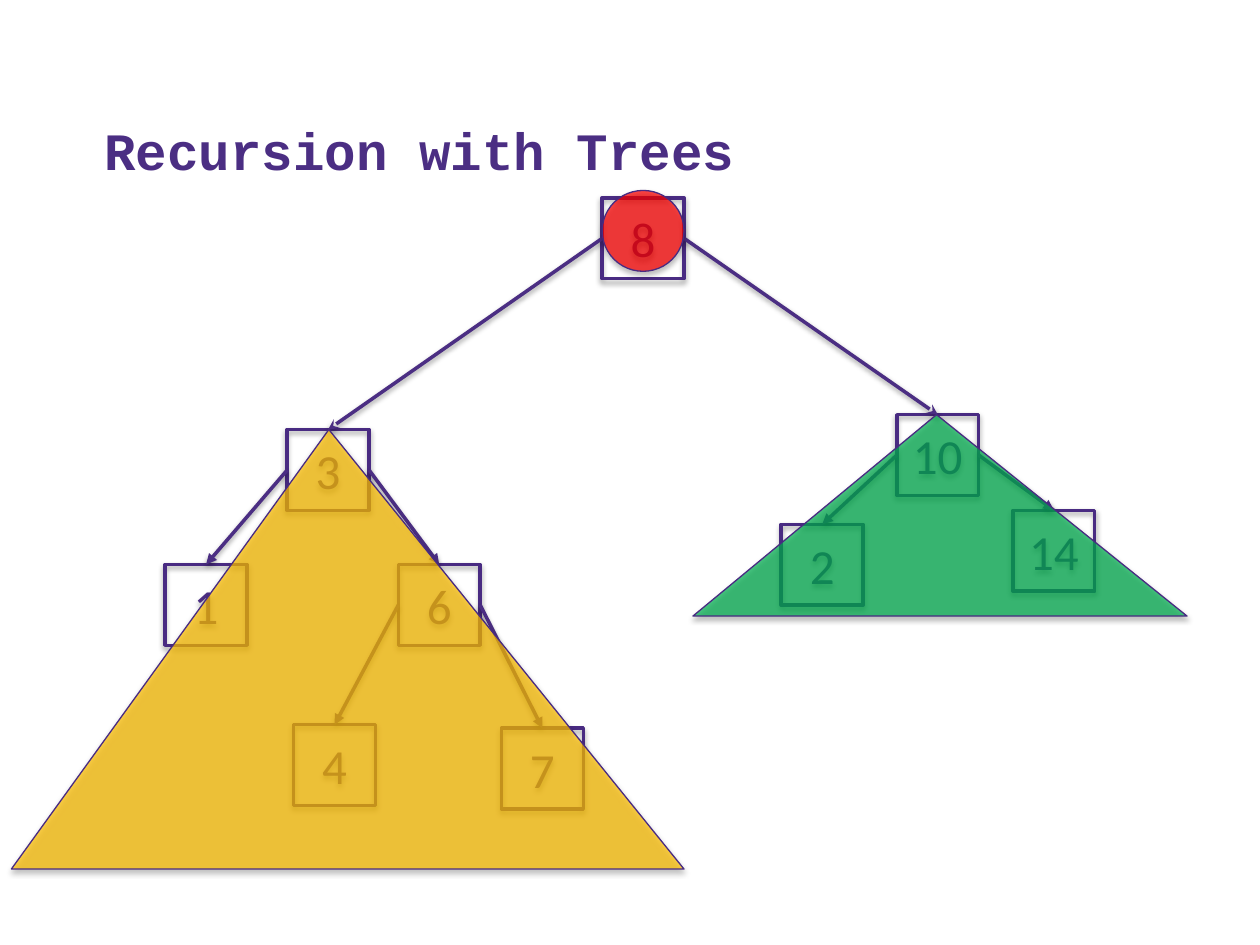
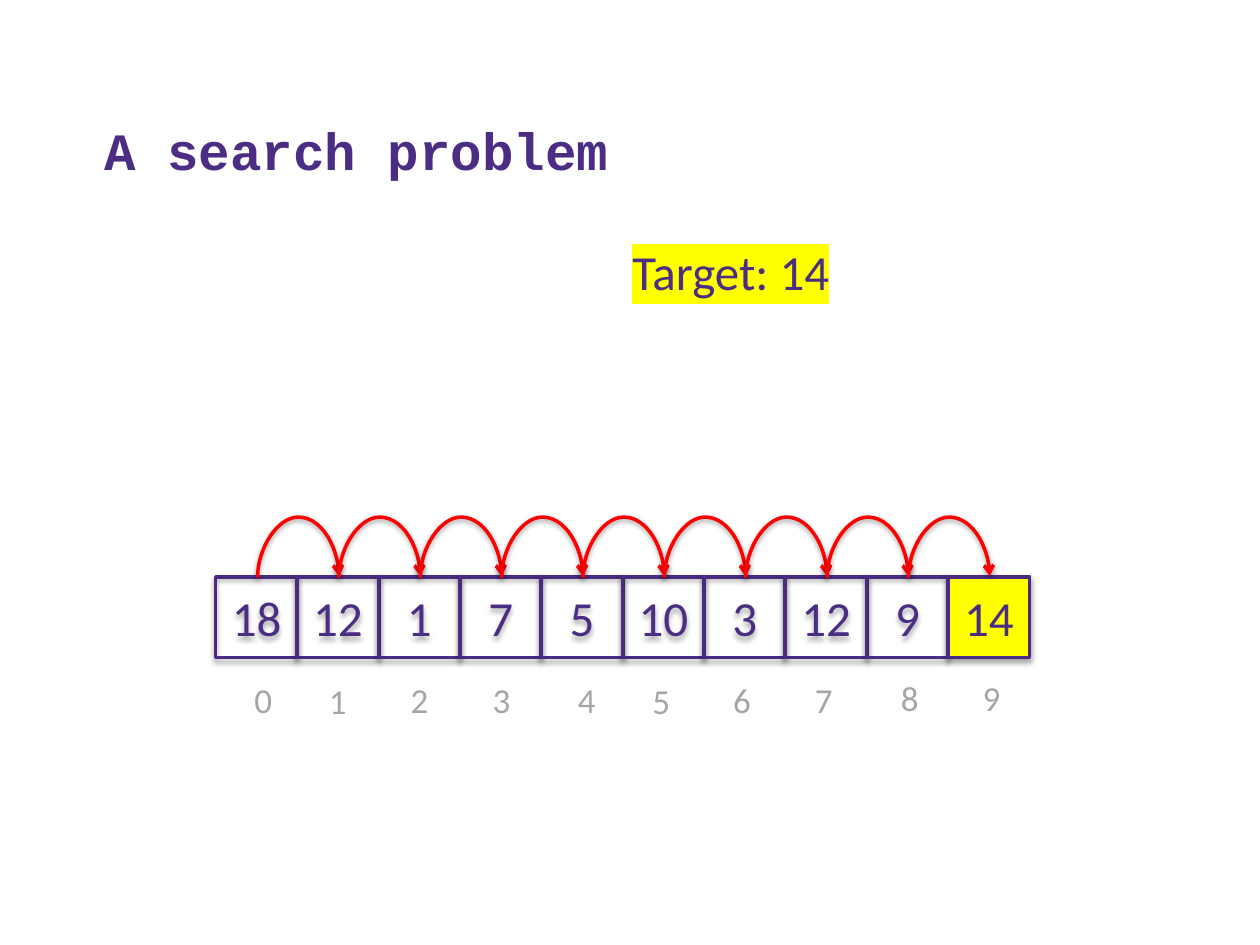
import pptx
import pptx.dml.color
import pptx.enum.shapes
import pptx.enum.text
import pptx.oxml
import pptx.oxml.ns
import pptx.util
from lxml import etree

Cm, Pt = pptx.util.Cm, pptx.util.Pt
qn = pptx.oxml.ns.qn
KIND = pptx.enum.shapes.MSO_SHAPE
LINK = pptx.enum.shapes.MSO_CONNECTOR
FIT = pptx.enum.text.MSO_AUTO_SIZE

COLORS = {
    "text": "4B2E83", "edge": "492B82", "index": "A6A6A6", "mark": "FFFF00",
    "jump": "FF0000", "root": "FF0000", "left": "FFC000", "right": "00B050",
    "shade": "000000",
}
HEAD, BODY = "Courier New", "Calibri"
BOX_W, BOX_H = 1.65, 1.63

# Tree: value -> left and top of its box, in cm
NODES = {
    8: (12.14, 3.99),
    3: (5.79, 8.66), 1: (3.33, 11.38), 6: (8.03, 11.38),
    4: (5.92, 14.61), 7: (10.11, 14.68),
    10: (18.08, 8.36), 2: (15.75, 10.57), 14: (20.42, 10.29),
}
# Parent, left child, right child, arrowhead
FORKS = [
    (8, 3, 10, "stealth"), (3, 1, 6, "triangle"),
    (6, 4, 7, "triangle"), (10, 2, 14, "triangle"),
]
# Shape, colour, place in cm, where the peak sits
COVERS = [
    (KIND.ISOSCELES_TRIANGLE, "left", (0.23, 8.66, 13.56, 8.86), 0.472),
    (KIND.ISOSCELES_TRIANGLE, "right", (13.97, 8.36, 9.96, 4.06), 0.493),
    (KIND.OVAL, "root", (12.14, 3.84, BOX_W, BOX_H), None),
]

# Search: the row of cells, and left and top of each index below it
TARGET = 14
CELLS = [18, 12, 1, 7, 5, 10, 3, 12, 9, 14]
ROW_X, ROW_Y, PITCH = 4.35, 11.63, 1.64
MARKS = [
    (4.88, 13.56), (6.38, 13.58), (8.03, 13.56), (9.68, 13.56), (11.4, 13.56),
    (12.9, 13.58), (14.53, 13.56), (16.18, 13.56), (17.91, 13.51), (19.56, 13.51),
]
ARC_BEND = 3494100


def rgb(name):
    return pptx.dml.color.RGBColor.from_string(COLORS[name])


def sub(parent, tag, **attrs):
    return etree.SubElement(parent, qn(tag), {k: str(v) for k, v in attrs.items()})


def shade(item, drop, alpha):
    """Give a shape or connector a soft shadow below it; call after its line is set."""
    effects = sub(item._element.spPr, "a:effectLst")
    outer = sub(effects, "a:outerShdw", blurRad=Pt(3.15), dist=Pt(drop),
                dir=5400000, rotWithShape=0)
    color = sub(outer, "a:srgbClr", val=COLORS["shade"])
    sub(color, "a:alpha", val=alpha * 1000)


def write(frame, text, size, color="text", font=BODY, bold=False):
    run = frame.paragraphs[0].add_run()
    run.text = str(text)
    run.font.size = Pt(size)
    run.font.bold = bold
    run.font.color.rgb = rgb(color)
    run.font.name = font
    return run


def add_slide(deck, title):
    slide = deck.slides.add_slide(deck.slide_layouts[5])
    head = slide.shapes.title
    head.left, head.top, head.width, head.height = map(Cm, (1.85, 1.04, 22.73, 2.74))
    frame = head.text_frame
    frame.vertical_anchor = pptx.enum.text.MSO_ANCHOR.BOTTOM
    frame.paragraphs[0].alignment = pptx.enum.text.PP_ALIGN.LEFT
    write(frame, title, 30, font=HEAD, bold=True)
    return slide


def add_form(slide, kind, place, fill=None, line=2):
    form = slide.shapes.add_shape(kind, *map(Cm, place))
    if fill:
        form.fill.solid()
        form.fill.fore_color.rgb = rgb(fill)
    else:
        form.fill.background()
    form.line.color.rgb = rgb("edge")
    form.line.width = Pt(line)
    shade(form, 1.8, 35)
    return form


def add_box(slide, value, x, y, fill=None):
    box = add_form(slide, KIND.RECTANGLE, (x, y, BOX_W, BOX_H), fill)
    write(box.text_frame, value, 28)


def add_label(slide, text, place, size, color="text"):
    frame = slide.shapes.add_textbox(*map(Cm, place)).text_frame
    frame.word_wrap = False
    frame.auto_size = FIT.SHAPE_TO_FIT_TEXT
    return write(frame, text, size, color)


def add_arrow(slide, kind, ends, color, tip):
    arrow = slide.shapes.add_connector(kind, *map(Cm, ends))
    arrow.line.color.rgb = rgb(color)
    arrow.line.width = Pt(2)
    sub(arrow.line._get_or_add_ln(), "a:tailEnd", type=tip)
    shade(arrow, 1.6, 38)
    return arrow


def add_jump(slide, x):
    """Arc from the cell centre at x to the next one: a turned, nearly flat curve."""
    arc = add_arrow(slide, LINK.CURVE, (0, 0, 1, 1), "jump", "arrow")
    arc.width, arc.height = Pt(1), Cm(PITCH)
    arc.left = Cm(x + PITCH / 2)
    arc.top = Cm(ROW_Y - PITCH / 2)
    frame = arc._element.spPr.find(qn("a:xfrm"))
    for key, value in (("rot", "5400000"), ("flipH", "1"), ("flipV", "1")):
        frame.set(key, value)
    form = arc._element.spPr.find(qn("a:prstGeom"))
    bends = form.find(qn("a:avLst"))
    if bends is None:
        bends = sub(form, "a:avLst")
    sub(bends, "a:gd", name="adj1", fmla=f"val {ARC_BEND}")


def draw_tree(deck):
    slide = add_slide(deck, "Recursion with Trees")
    for value, (x, y) in NODES.items():
        add_box(slide, value, x, y)
    for parent, left, right, tip in FORKS:
        x, y = NODES[parent]
        for child, start in ((left, x), (right, x + BOX_W)):
            end_x, end_y = NODES[child]
            ends = (start, y + BOX_H / 2, end_x + BOX_W / 2, end_y)
            add_arrow(slide, LINK.STRAIGHT, ends, "text", tip)
    for kind, color, place, peak in COVERS:
        cover = add_form(slide, kind, place, color, 0.75)
        if peak:
            cover.adjustments[0] = peak
        tint = cover._element.spPr.find(qn("a:solidFill")).find(qn("a:srgbClr"))
        sub(tint, "a:alpha", val=71000)


def draw_search(deck):
    slide = add_slide(deck, "A search problem")
    goal = add_label(slide, f"Target: {TARGET}", (12.5, 4.75, 4.52, 1.45), 28)
    glow = etree.Element(qn("a:highlight"))
    sub(glow, "a:srgbClr", val=COLORS["mark"])
    goal._r.rPr.find(qn("a:solidFill")).addnext(glow)
    for i, (value, (x, y)) in enumerate(zip(CELLS, MARKS)):
        add_box(slide, value, ROW_X + i * PITCH, ROW_Y,
                "mark" if value == TARGET else None)
        add_label(slide, i, (x, y, 0.86, 1.12), 20, "index")
    for i in range(len(CELLS) - 1):
        add_jump(slide, ROW_X + BOX_W / 2 + i * PITCH)


def main():
    deck = pptx.Presentation()
    deck.slide_width, deck.slide_height = Cm(25.4), Cm(19.05)
    draw_tree(deck)
    draw_search(deck)
    deck.save("out.pptx")


if __name__ == "__main__":
    main()
